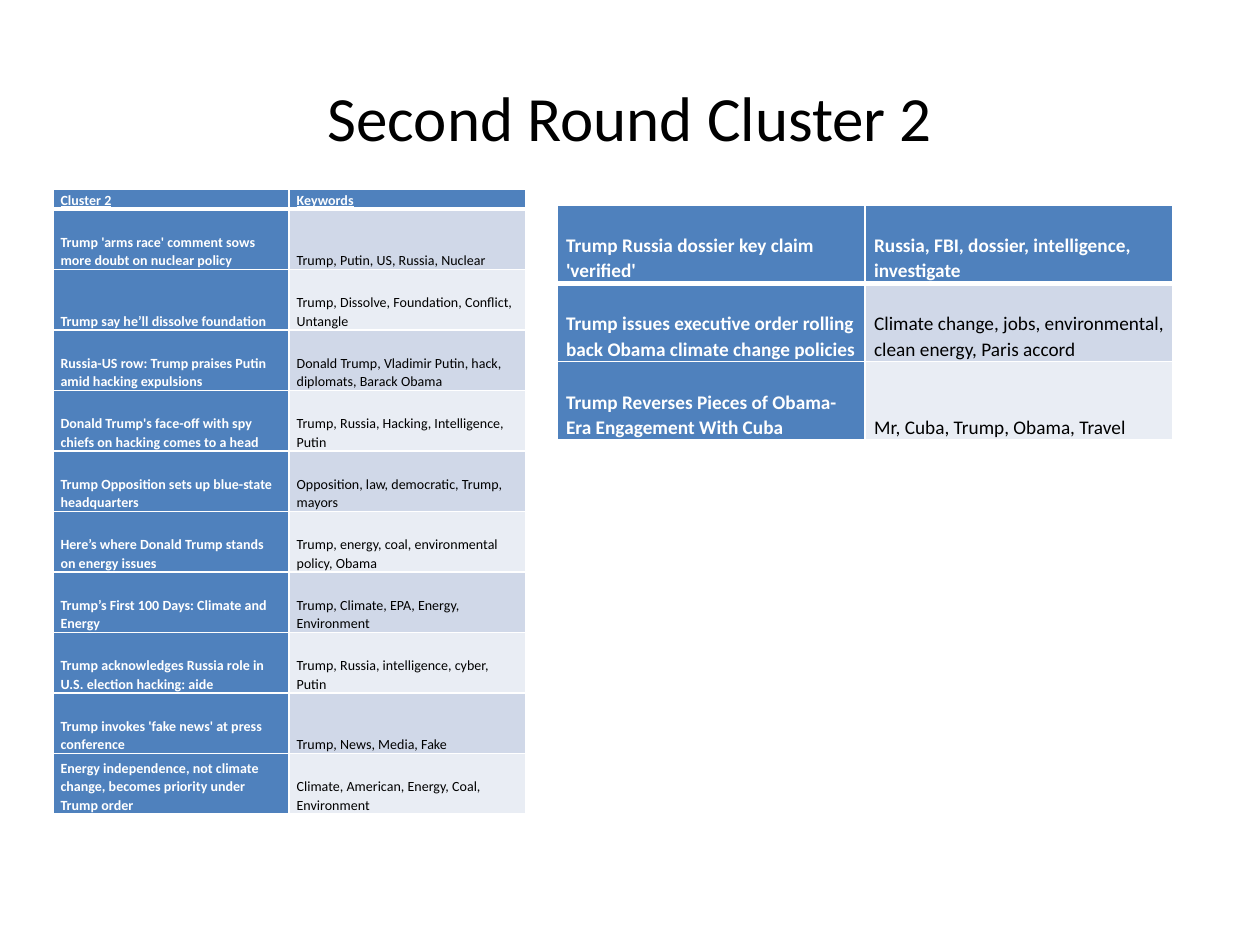
"""Build the "Second Round Cluster 2" slide with two keyword tables."""
from lxml import etree
from pptx import Presentation
from pptx import util as u
from pptx.dml import color
from pptx.enum import text
from pptx.oxml import ns

TITLE = "Second Round Cluster 2"
FONT = "Calibri"
BLUE, WHITE, BLACK = "4F81BD", "FFFFFF", "000000"
BANDS = ("D0D8E8", "E9EDF4")

MAIN_ROWS = [
    ("Cluster 2", "Keywords"),
    ("Trump 'arms race' comment sows more doubt on nuclear policy", "Trump, Putin, US, Russia, Nuclear"),
    ("Trump say he’ll dissolve foundation", "Trump, Dissolve, Foundation, Conflict, Untangle"),
    ("Russia-US row: Trump praises Putin amid hacking expulsions",
     "Donald Trump, Vladimir Putin, hack, diplomats, Barack Obama"),
    ("Donald Trump's face-off with spy chiefs on hacking comes to a head",
     "Trump, Russia, Hacking, Intelligence, Putin"),
    ("Trump Opposition sets up blue-state headquarters", "Opposition, law, democratic, Trump, mayors"),
    ("Here’s where Donald Trump stands on energy issues", "Trump, energy, coal, environmental policy, Obama"),
    ("Trump’s First 100 Days: Climate and Energy", "Trump, Climate, EPA, Energy, Environment"),
    ("Trump acknowledges Russia role in U.S. election hacking: aide",
     "Trump, Russia, intelligence, cyber, Putin"),
    ("Trump invokes 'fake news' at press conference", "Trump, News, Media, Fake"),
    ("Energy independence, not climate change, becomes priority under Trump order",
     "Climate, American, Energy, Coal, Environment"),
]
MORE_ROWS = [
    ("Trump Russia dossier key claim 'verified'", "Russia, FBI, dossier, intelligence, investigate"),
    ("Trump issues executive order rolling back Obama climate change policies",
     "Climate change, jobs, environmental, clean energy, Paris accord"),
    ("Trump Reverses Pieces of Obama-Era Engagement With Cuba", "Mr, Cuba, Trump, Obama, Travel"),
]
TABLES = [
    dict(rows=MAIN_ROWS, left=1.07, top=3.81, column=4.76, header=0.4, row=1.22,
         size=8, margin=0.15, underline=True),
    dict(rows=MORE_ROWS, left=11.23, top=4.13, column=6.21, header=1.58, row=1.58,
         size=11, margin=0.18, underline=False),
]


def rgb(value):
    """Turn a hex string into a colour."""
    return color.RGBColor.from_string(value)


def style_run(run, size, hex_color, bold=False, underline=False):
    """Set the font of one run."""
    font = run.font
    font.name, font.size, font.bold, font.underline = FONT, u.Pt(size), bold, underline
    font.color.rgb = rgb(hex_color)


def add_borders(cell, widths):
    """Draw white borders of the given widths in points."""
    properties = cell._tc.get_or_add_tcPr()
    for index, (side, width) in enumerate(widths.items()):
        line = etree.Element(ns.qn(f"a:ln{side}"), w=str(u.Pt(width)))
        fill = etree.SubElement(line, ns.qn("a:solidFill"))
        etree.SubElement(fill, ns.qn("a:srgbClr"), val=WHITE)
        properties.insert(index, line)


def fill_cell(cell, content, row, column, layout):
    """Write and format one table cell."""
    header = row == 0
    dark = header or column == 0
    cell.fill.solid()
    cell.fill.fore_color.rgb = rgb(BLUE if dark else BANDS[(row - 1) % 2])
    cell.vertical_anchor = text.MSO_ANCHOR.BOTTOM
    cell.margin_left = cell.margin_right = u.Cm(layout["margin"])
    cell.margin_top = cell.margin_bottom = 0
    cell.text_frame.text = content
    paragraph = cell.text_frame.paragraphs[0]
    paragraph.line_spacing = 1.07
    style_run(paragraph.runs[0], layout["size"], WHITE if dark else BLACK,
              dark, header and layout["underline"])
    add_borders(cell, {"L": 1, "R": 1, "T": 3 if row == 1 else 1, "B": 3 if header else 1})


def add_keyword_table(slide, layout):
    """Add one table of headlines and keywords."""
    rows = layout["rows"]
    heights = [layout["header"]] + [layout["row"]] * (len(rows) - 1)
    table = slide.shapes.add_table(
        len(rows), 2, u.Cm(layout["left"]), u.Cm(layout["top"]),
        u.Cm(2 * layout["column"]), u.Cm(sum(heights))).table
    for column in table.columns:
        column.width = u.Cm(layout["column"])
    for row, (contents, height) in enumerate(zip(rows, heights)):
        table.rows[row].height = u.Cm(height)
        for column, content in enumerate(contents):
            fill_cell(table.cell(row, column), content, row, column, layout)


def add_title(slide):
    """Add the centred slide title."""
    frame = slide.shapes.add_textbox(u.Cm(1.27), u.Cm(0.76), u.Cm(22.86), u.Cm(3.18)).text_frame
    frame.word_wrap = True
    frame.vertical_anchor = text.MSO_ANCHOR.MIDDLE
    frame.text = TITLE
    paragraph = frame.paragraphs[0]
    paragraph.alignment = text.PP_ALIGN.CENTER
    style_run(paragraph.runs[0], 36, BLACK)


def main():
    """Build and save the presentation."""
    presentation = Presentation()
    presentation.slide_width, presentation.slide_height = u.Cm(25.4), u.Cm(19.05)
    slide = presentation.slides.add_slide(presentation.slide_layouts[6])
    add_title(slide)
    for layout in TABLES:
        add_keyword_table(slide, layout)
    presentation.save("out.pptx")


if __name__ == "__main__":
    main()
